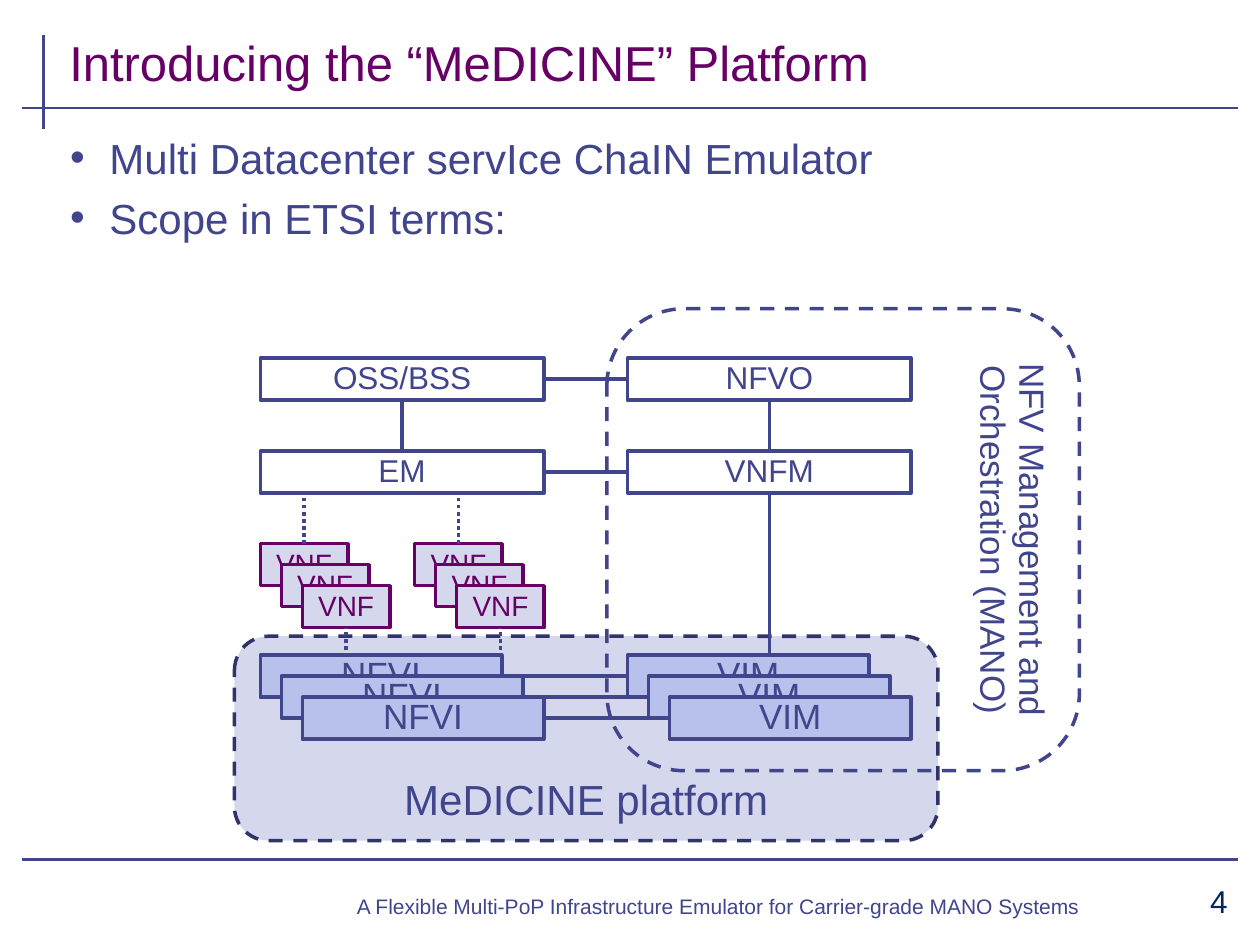
from lxml import etree
from pptx import Presentation
from pptx.dml.color import RGBColor
from pptx.enum.dml import MSO_LINE
from pptx.enum.shapes import MSO_CONNECTOR, MSO_SHAPE
from pptx.enum.text import MSO_ANCHOR, PP_ALIGN
from pptx.oxml.ns import qn
from pptx.util import Pt

RECT, ROUND = MSO_SHAPE.RECTANGLE, MSO_SHAPE.ROUNDED_RECTANGLE
STRAIGHT = MSO_CONNECTOR.STRAIGHT
DASH, DOT = MSO_LINE.DASH, MSO_LINE.ROUND_DOT
TOP, MIDDLE, BOTTOM = MSO_ANCHOR.TOP, MSO_ANCHOR.MIDDLE, MSO_ANCHOR.BOTTOM
LEFT, CENTER, RIGHT = PP_ALIGN.LEFT, PP_ALIGN.CENTER, PP_ALIGN.RIGHT

INK, PLUM, NAVY, EDGE = "40458C", "660066", "002664", "303469"
WHITE, LILAC, BLUE = "FFFFFF", "D5D7EC", "B7C1EB"

TITLE = "Introducing the “MeDICINE” Platform"
BULLETS = ["Multi Datacenter servIce ChaIN Emulator", "Scope in ETSI terms:"]
FOOTER = "A Flexible Multi-PoP Infrastructure Emulator for Carrier-grade MANO Systems"
PAGE_NUMBER = "4"
PLATFORM = "MeDICINE platform"
MANO = "NFV Management and Orchestration (MANO)"

LEFT_X, RIGHT_X = 148.8, 358.6
BOX_W, BOX_H, STEP = 162, 24, 12
CARD_W, VNF_W = BOX_W - 2 * STEP, 50
TOP_Y, SECOND_Y, VNF_Y, CARD_Y = 204.5, 257.8, 310.7, 374.4
VNF_XS = [LEFT_X, 237]
FRAME_LINES = [(25, 20, 25, 74), (12.5, 61.7, 707.5, 61.7), (12.5, 491, 707.5, 491)]
BOXES = [
    ("VNFM", RIGHT_X, SECOND_Y),
    ("NFVO", RIGHT_X, TOP_Y),
    ("OSS/BSS", LEFT_X, TOP_Y),
    ("EM", LEFT_X, SECOND_Y),
]


def rgb(value):
    return RGBColor.from_string(value)


def write(frame, paragraphs, size, color, align=LEFT, anchor=TOP, spacing=None):
    frame.word_wrap = True
    frame.vertical_anchor = anchor
    frame.text = "\n".join(paragraphs)
    for paragraph in frame.paragraphs:
        paragraph.alignment = align
        paragraph.line_spacing = spacing
        font = paragraph.runs[0].font
        font.name, font.size, font.color.rgb = "Arial", Pt(size), rgb(color)


def add_text(slide, area, *args, **kwargs):
    box = slide.shapes.add_textbox(*map(Pt, area))
    write(box.text_frame, *args, **kwargs)
    return box.text_frame


def add_line(slide, ends, width=2, dash=None):
    line = slide.shapes.add_connector(STRAIGHT, *map(Pt, ends))
    line.line.color.rgb = rgb(INK)
    line.line.width = Pt(width)
    if dash:
        line.line.dash_style = dash
    etree.SubElement(line._element.spPr, qn("a:effectLst"))


def add_box(slide, kind, area, text, size, fill=None, edge=INK, color=INK,
            anchor=MIDDLE, dash=None):
    shape = slide.shapes.add_shape(kind, *map(Pt, area))
    shape.shadow.inherit = False
    if fill:
        shape.fill.solid()
        shape.fill.fore_color.rgb = rgb(fill)
    else:
        shape.fill.background()
    shape.line.color.rgb = rgb(edge)
    shape.line.width = Pt(2)
    if dash:
        shape.line.dash_style = dash
    frame = shape.text_frame
    write(frame, [text], size, color, CENTER, anchor, 0.93)
    if kind == RECT:
        frame.margin_left = frame.margin_right = 0
        frame.margin_top = frame.margin_bottom = 0
    return frame


def add_stack(slide, x, y, width, text, size, **style):
    for i in range(3):
        area = (x + i * STEP, y + i * STEP, width, BOX_H)
        add_box(slide, RECT, area, text, size, **style)


def add_bullets(frame):
    for paragraph in frame.paragraphs:
        paragraph.space_before = Pt(5.5)
        properties = paragraph._p.get_or_add_pPr()
        properties.set("marL", str(Pt(22.5)))
        properties.set("indent", str(-Pt(22.5)))
        etree.SubElement(properties, qn("a:buFont")).set("typeface", "Arial")
        etree.SubElement(properties, qn("a:buChar")).set("char", "•")


def add_page(slide):
    for ends in FRAME_LINES:
        add_line(slide, ends, 1.5)
    title = slide.shapes.title
    title.left, title.top, title.width, title.height = map(Pt, (32.4, 11.5, 672, 44.6))
    write(title.text_frame, [TITLE], 28, PLUM, anchor=BOTTOM)
    add_bullets(add_text(slide, (33, 72, 668, 409), BULLETS, 24, INK))
    add_text(slide, (187, 499, 447, 37.5), [FOOTER], 12, INK, CENTER, MIDDLE)
    add_text(slide, (615, 502.6, 93.6, 27.4), [PAGE_NUMBER], 18, NAVY, RIGHT, spacing=0.93)


def add_diagram(slide):
    add_box(slide, ROUND, (134, 363.6, 402, 116.8), PLATFORM, 24, LILAC, EDGE,
            anchor=BOTTOM, dash=DASH)
    left_mid, right_mid = LEFT_X + BOX_W / 2, RIGHT_X + BOX_W / 2
    add_line(slide, (right_mid, SECOND_Y + BOX_H, right_mid, CARD_Y + STEP))
    for i in range(3):
        x, y = LEFT_X + CARD_W + i * STEP, CARD_Y + (i + 1) * STEP
        add_line(slide, (x, y, RIGHT_X + i * STEP, y))
    for name, x in (("NFVI", LEFT_X), ("VIM", RIGHT_X)):
        add_stack(slide, x, CARD_Y, CARD_W, name, 20, fill=BLUE)
    for name, x, y in BOXES:
        add_box(slide, RECT, (x, y, BOX_W, BOX_H), name, 18, WHITE)
    for x in VNF_XS:
        add_stack(slide, x, VNF_Y, VNF_W, "VNF", 16, fill=LILAC, edge=PLUM, color=PLUM)
    for y in (TOP_Y, SECOND_Y):
        add_line(slide, (LEFT_X + BOX_W, y + BOX_H / 2, RIGHT_X, y + BOX_H / 2))
    for x in (left_mid, right_mid):
        add_line(slide, (x, TOP_Y + BOX_H, x, SECOND_Y))
    for x in VNF_XS:
        upper, lower = x + VNF_W / 2, x + VNF_W / 2 + 2 * STEP
        add_line(slide, (upper, VNF_Y, upper, SECOND_Y + BOX_H), dash=DOT)
        add_line(slide, (lower, CARD_Y + 1, lower, VNF_Y + BOX_H + 2 * STEP), dash=DOT)
    mano = add_box(slide, ROUND, (346.8, 176.4, 270, 264), MANO, 20, anchor=TOP, dash=DASH)
    mano._txBody.bodyPr.set("vert", "vert")


def main():
    """Build the slide that places the emulator within the NFV architecture."""
    deck = Presentation()
    deck.slide_width, deck.slide_height = Pt(720), Pt(540)
    slide = deck.slides.add_slide(deck.slide_layouts[5])
    add_page(slide)
    add_diagram(slide)
    deck.save("out.pptx")


if __name__ == "__main__":
    main()
